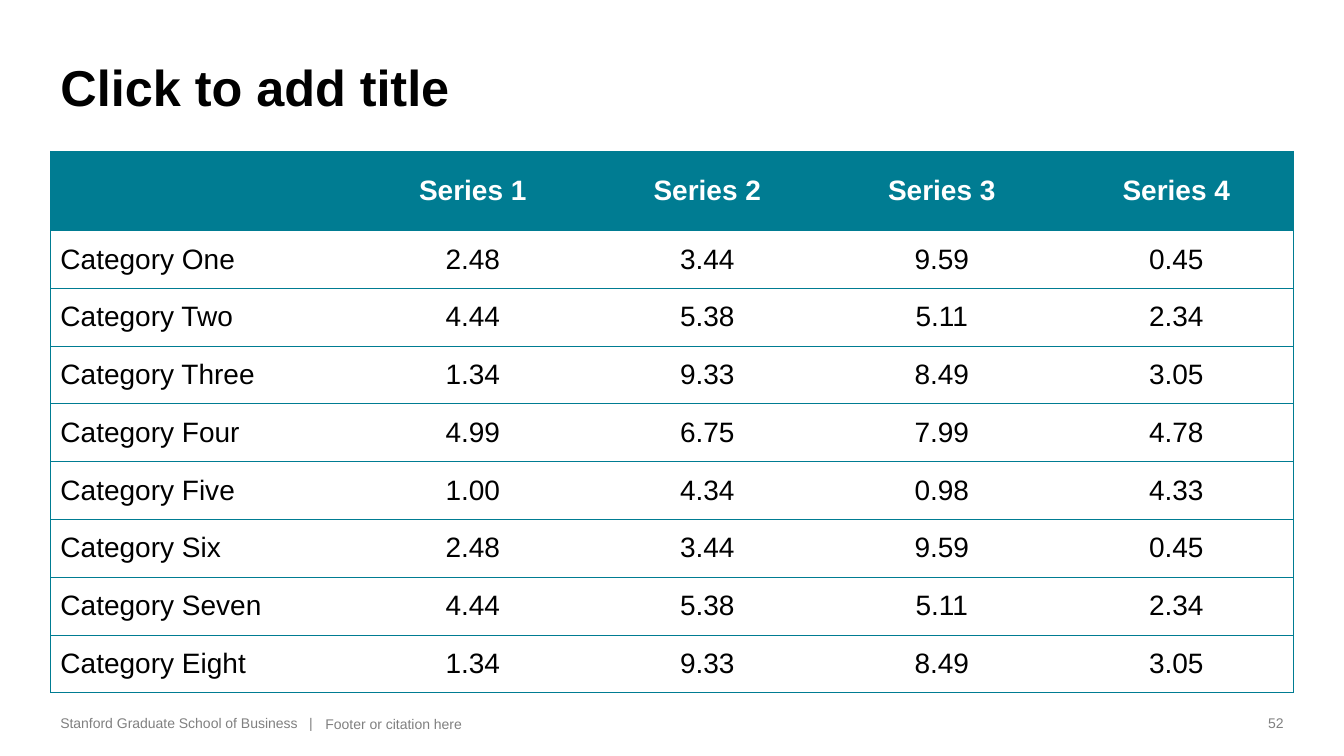
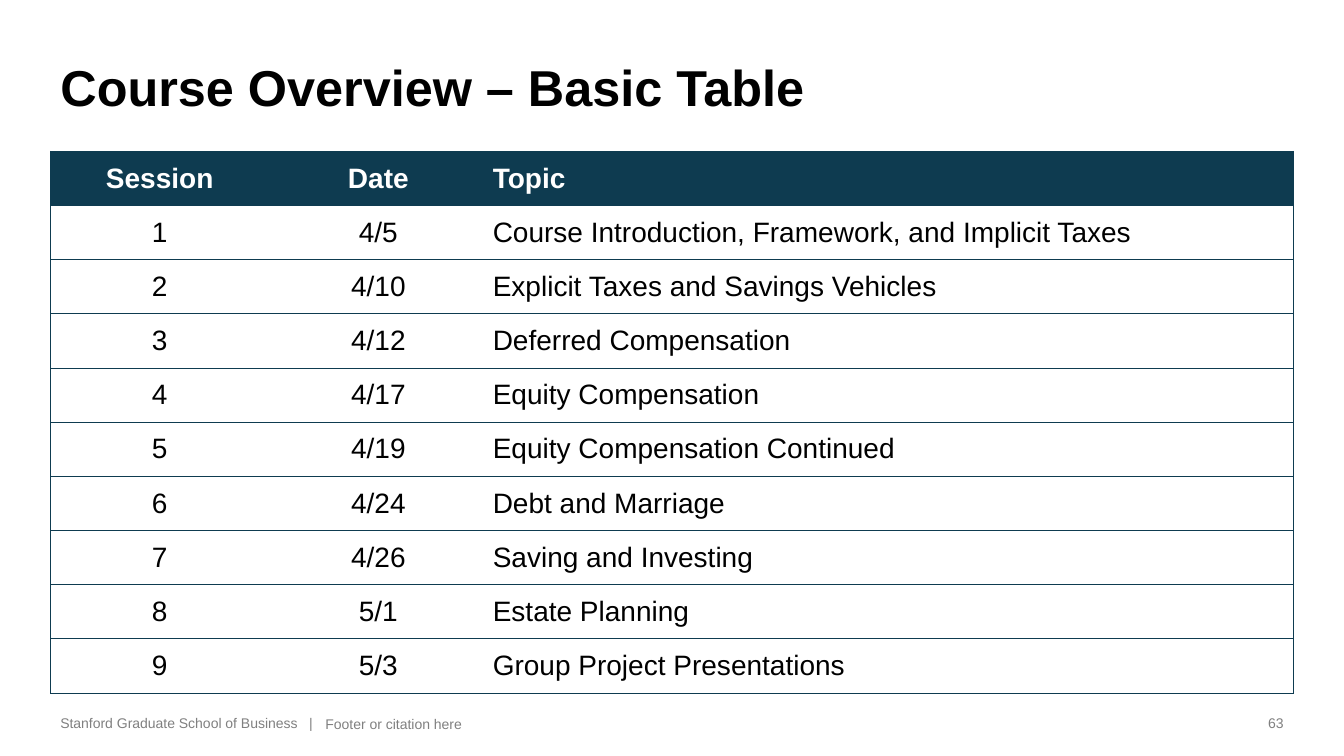
from lxml import etree
from pptx import Presentation
from pptx.dml.color import RGBColor
from pptx.enum import text
from pptx.oxml import ns
from pptx.util import Pt

COLORS = {"teal": "007C92", "navy": "0E3B50", "black": "000000",
          "white": "FFFFFF", "gray": "808080"}
FONT = "Arial"
LEFT, WIDTH = 36, 888
TABLE_TOP, TABLE_HEIGHT = 108, 387
BORDER = 0.5
L, C, R = text.PP_ALIGN.LEFT, text.PP_ALIGN.CENTER, text.PP_ALIGN.RIGHT

SERIES = [
    ["", "Series 1", "Series 2", "Series 3", "Series 4"],
    ["Category One", "2.48", "3.44", "9.59", "0.45"],
    ["Category Two", "4.44", "5.38", "5.11", "2.34"],
    ["Category Three", "1.34", "9.33", "8.49", "3.05"],
    ["Category Four", "4.99", "6.75", "7.99", "4.78"],
    ["Category Five", "1.00", "4.34", "0.98", "4.33"],
    ["Category Six", "2.48", "3.44", "9.59", "0.45"],
    ["Category Seven", "4.44", "5.38", "5.11", "2.34"],
    ["Category Eight", "1.34", "9.33", "8.49", "3.05"],
]
SESSIONS = [
    ["Session", "Date", "Topic"],
    ["1", "4/5", "Course Introduction, Framework, and Implicit Taxes"],
    ["2", "4/10", "Explicit Taxes and Savings Vehicles"],
    ["3", "4/12", "Deferred Compensation"],
    ["4", "4/17", "Equity Compensation"],
    ["5", "4/19", "Equity Compensation Continued"],
    ["6", "4/24", "Debt and Marriage"],
    ["7", "4/26", "Saving and Investing"],
    ["8", "5/1", "Estate Planning"],
    ["9", "5/3", "Group Project Presentations"],
]


def rgb(name):
    return RGBColor.from_string(COLORS[name])


def write(tf, content, size, color, bold=False, align=L):
    p = tf.paragraphs[0]
    p.alignment = align
    font = p.font
    if content:
        r = p.add_run()
        r.text = content
        font = r.font
    for name, value in {"name": FONT, "size": Pt(size), "bold": bold}.items():
        setattr(font, name, value)
    font.color.rgb = rgb(color)


def place(sp, left, top, width, height):
    for name, value in {"left": left, "top": top,
                        "width": width, "height": height}.items():
        setattr(sp, name, Pt(value))


def add_title(s, content):
    sp = s.shapes.title
    place(sp, LEFT, 36, WIDTH, 51)
    tf = sp.text_frame
    tf.vertical_anchor = text.MSO_ANCHOR.BOTTOM
    tf.auto_size = text.MSO_AUTO_SIZE.NONE
    write(tf, content, 36, "black", bold=True)


def add_footer_text(s, content, box, wrap=False, align=L):
    sp = s.shapes.add_textbox(*map(Pt, box))
    tf = sp.text_frame
    tf.word_wrap = wrap
    tf.vertical_anchor = text.MSO_ANCHOR.BOTTOM
    write(tf, content, 10, "gray", align=align)


def add_footer(s, number):
    add_footer_text(s, "Stanford Graduate School of Business   |",
                    (LEFT, 506.2, 196, 19.4))
    add_footer_text(s, "Footer or citation here",
                    (225.4, 506.2, 659.5, 20.2), wrap=True)
    add_footer_text(s, number, (897.2, 506.6, 26.8, 19.4), align=R)


def set_borders(cell, edges):
    """Draw each side (L, R, T, B) in its colour, or hide it when None."""
    tc_pr = cell._tc.get_or_add_tcPr()
    for i, (side, color) in enumerate(edges.items()):
        ln = etree.Element(ns.qn(f"a:ln{side}"), w=str(Pt(BORDER)))
        if color:
            fill = etree.SubElement(ln, ns.qn("a:solidFill"))
            etree.SubElement(fill, ns.qn("a:srgbClr"), val=COLORS[color])
        else:
            etree.SubElement(ln, ns.qn("a:noFill"))
        tc_pr.insert(i, ln)


def add_ruled_table(s, rows, widths, header_height, aligns, color, inset):
    n_rows, n_cols = len(rows), len(widths)
    frame = s.shapes.add_table(n_rows, n_cols, Pt(LEFT), Pt(TABLE_TOP),
                               Pt(WIDTH), Pt(TABLE_HEIGHT))
    table = frame.table
    table.horz_banding = False
    for column, width in zip(table.columns, widths):
        column.width = Pt(width)
    body_height = (TABLE_HEIGHT - header_height) / (n_rows - 1)
    for i, values in enumerate(rows):
        header = i == 0
        table.rows[i].height = Pt(header_height if header else body_height)
        for j, value in enumerate(values):
            cell = table.cell(i, j)
            cell.vertical_anchor = text.MSO_ANCHOR.MIDDLE
            cell.margin_left = cell.margin_right = Pt(inset)
            cell.fill.solid()
            cell.fill.fore_color.rgb = rgb(color if header else "white")
            write(cell.text_frame, value, 20, "white" if header else "black",
                  bold=header, align=aligns[j])
            set_borders(cell, {"L": color if j == 0 else None,
                               "R": color if j == n_cols - 1 else None,
                               "T": color, "B": color})


def add_table_slide(prs, title, number, **table):
    s = prs.slides.add_slide(prs.slide_layouts[5])
    add_title(s, title)
    add_ruled_table(s, **table)
    add_footer(s, number)


def main():
    prs = Presentation()
    prs.slide_width, prs.slide_height = Pt(960), Pt(540)

    # Series table
    add_table_slide(prs, "Click to add title", "52", rows=SERIES,
                    widths=[218] + [167.5] * 4, header_height=56.6,
                    aligns=[L] + [C] * 4, color="teal", inset=7.2)

    # Course sessions
    add_table_slide(prs, "Course Overview – Basic Table", "63", rows=SESSIONS,
                    widths=[156.2, 156.2, 575.6], header_height=38.7,
                    aligns=[C, C, L], color="navy", inset=3.6)

    prs.save("out.pptx")


if __name__ == "__main__":
    main()
